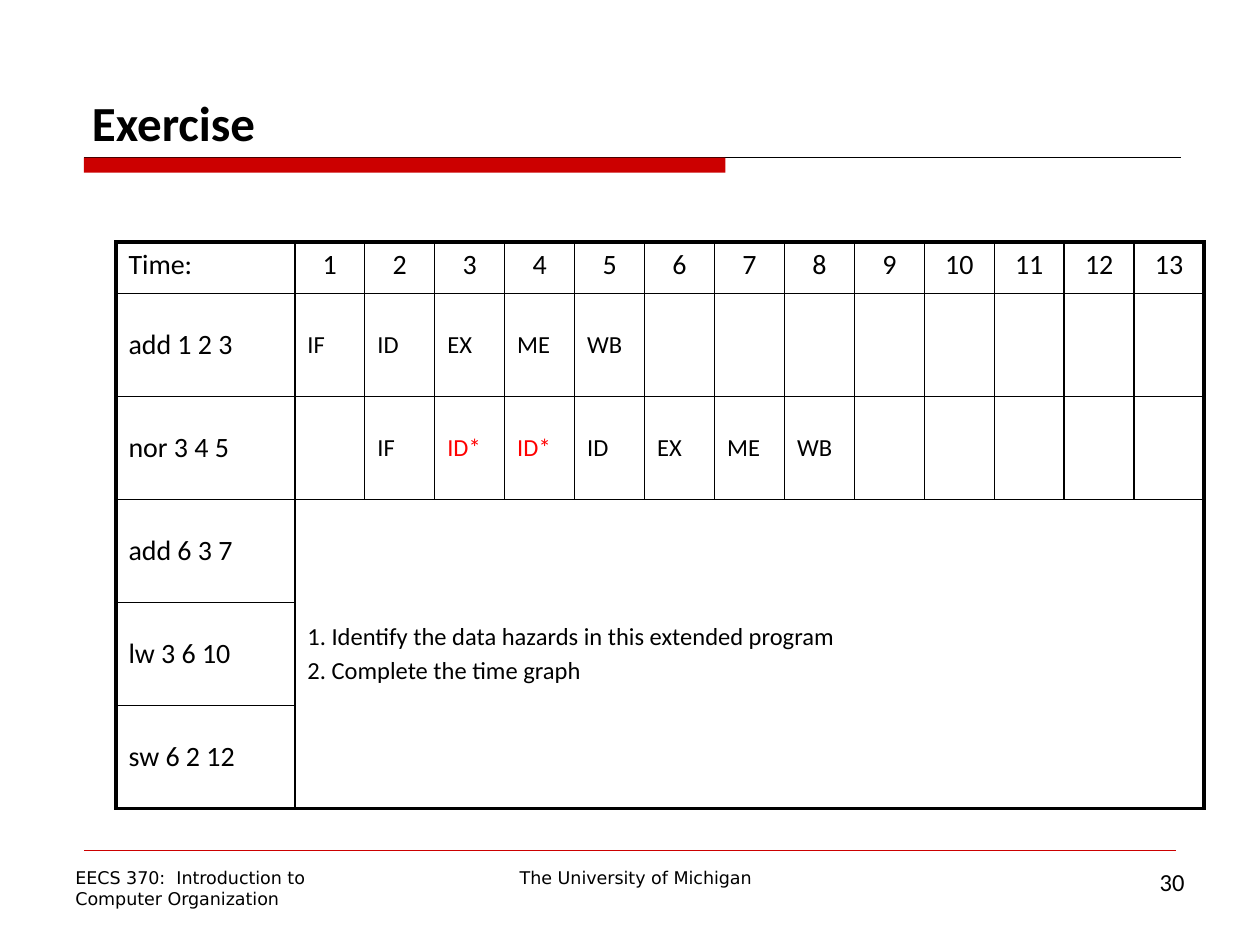
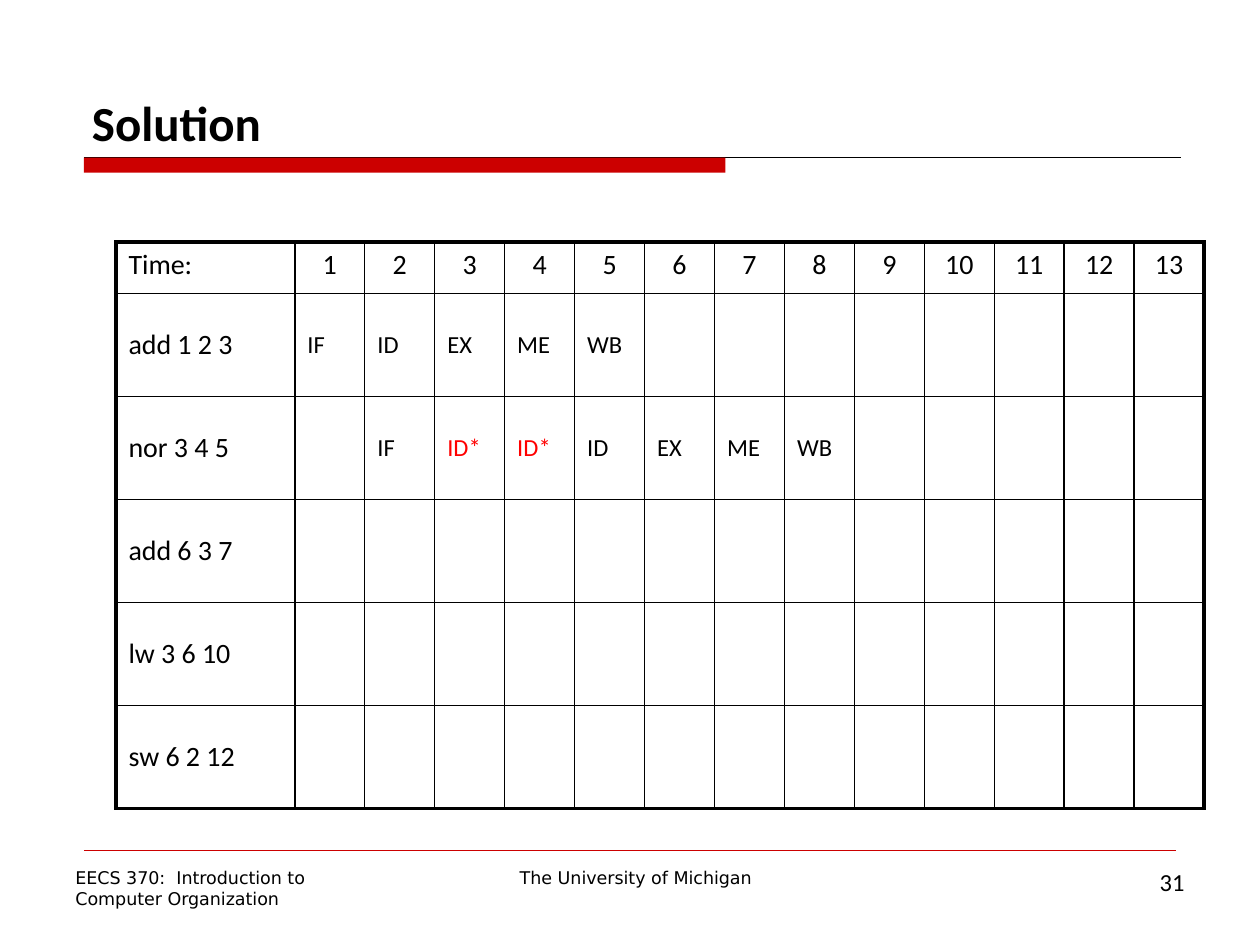
from pptx import Presentation
from pptx.dml.color import RGBColor
from pptx.enum.shapes import MSO_CONNECTOR, MSO_SHAPE
from pptx.enum.text import MSO_ANCHOR, MSO_AUTO_SIZE, PP_ALIGN
from pptx.oxml.ns import qn
from pptx.util import Inches, Pt
from lxml.etree import SubElement

# Content
HEADER = ["Time:"] + [str(n) for n in range(1, 14)]
INSTRUCTIONS = ["add 1 2 3", "nor 3 4 5", "add 6 3 7", "lw 3 6 10", "sw 6 2 12"]
# Pipeline stages by instruction: (first cycle, stages)
STAGES = {
    "add 1 2 3": (1, ["IF", "ID", "EX", "ME", "WB"]),
    "nor 3 4 5": (2, ["IF", "ID*", "ID*", "ID", "EX", "ME", "WB"]),
}
TASKS = ["1. Identify the data hazards in this extended program",
         "2. Complete the time graph"]
SLIDES = [
    {"title": "Exercise", "number": "30", "tasks": TASKS},
    {"title": "Solution", "number": "31", "tasks": []},
]
COURSE = ["EECS 370:  Introduction to", "Computer Organization"]
SCHOOL = ["The University of Michigan"]

# Style
BLACK = RGBColor(0x00, 0x00, 0x00)
RED = RGBColor(0xCC, 0x00, 0x00)
STALL = RGBColor(0xFF, 0x00, 0x00)
BODY_FONT, FOOT_FONT = "Calibri", "DejaVu Sans"
THIN, THICK = 1, 2.25

# Geometry, in inches
WIDTH, HEIGHT = 10, 7.5
MARGIN = WIDTH / 15
RULE_Y, FOOT_RULE_Y, FOOT_Y = HEIGHT / 6, HEIGHT * 0.9, 6.83
TABLE_X, TABLE_Y, TABLE_W, TABLE_H = 0.92, 1.92, 8.64, 4.5
LABEL_W, HEADER_H = 1.42, 0.41


def format_text(tf, lines, size, font=BODY_FONT, color=BLACK, align=PP_ALIGN.LEFT,
                bold=False, gap=0):
    tf.text = "\n".join(lines)
    for i, p in enumerate(tf.paragraphs):
        p.alignment = align
        p.space_before = Pt(gap if i else 0)
        for r in p.runs:
            r.font.size, r.font.name, r.font.bold = Pt(size), font, bold
            r.font.color.rgb = color


def add_rule(slide, x1, x2, y, color, weight):
    line = slide.shapes.add_connector(
        MSO_CONNECTOR.STRAIGHT, Inches(x1), Inches(y), Inches(x2), Inches(y))
    line.line.color.rgb = color
    line.line.width = Pt(weight)
    SubElement(line._element.spPr, qn("a:effectLst"))


def add_footer(slide, x, w, h, lines, size=10, font=FOOT_FONT, align=PP_ALIGN.LEFT):
    box = slide.shapes.add_textbox(Inches(x), Inches(FOOT_Y), Inches(w), Inches(h))
    box.text_frame.word_wrap = True
    format_text(box.text_frame, lines, size, font, align=align)


def add_frame(slide, title, number):
    """Title, title band, footer rule and footers."""
    sp = slide.shapes.title
    sp.left, sp.top = Inches(0.63), Inches(0.33)
    sp.width, sp.height = Inches(8.75), Inches(0.92)
    tf = sp.text_frame
    tf.vertical_anchor = MSO_ANCHOR.BOTTOM
    tf.auto_size = MSO_AUTO_SIZE.NONE
    format_text(tf, [title], 28, bold=True)

    add_rule(slide, MARGIN, 9.37, RULE_Y, BLACK, 0.75)
    band = slide.shapes.add_shape(MSO_SHAPE.RECTANGLE, Inches(MARGIN), Inches(RULE_Y),
                                  Inches(5.09), Inches(0.12))
    band.shadow.inherit = False
    band.fill.solid()
    band.fill.fore_color.rgb = RED
    band.line.fill.background()

    add_rule(slide, MARGIN, WIDTH - MARGIN, FOOT_RULE_Y, RED, 0.25)
    add_footer(slide, 3.17, 3.75, 0.27, SCHOOL, align=PP_ALIGN.CENTER)
    add_footer(slide, 0.5, 2.75, 0.43, COURSE)
    add_footer(slide, 7.17, 2.33, 0.52, [number], 14, BODY_FONT, PP_ALIGN.RIGHT)


def set_borders(cell, outer):
    """Draw each side, thick where it lies on the table's outer edge."""
    tc_pr = cell._tc.get_or_add_tcPr()
    for side in "LRTB":
        weight = THICK if side in outer else THIN
        ln = SubElement(tc_pr, qn(f"a:ln{side}"), w=str(Pt(weight)))
        fill = SubElement(ln, qn("a:solidFill"))
        SubElement(fill, qn("a:srgbClr"), val=str(BLACK))


def add_time_graph(slide, tasks):
    rows, cols = len(INSTRUCTIONS) + 1, len(HEADER)
    table = slide.shapes.add_table(rows, cols, Inches(TABLE_X), Inches(TABLE_Y),
                                   Inches(TABLE_W), Inches(TABLE_H)).table
    table.first_row = table.horz_banding = False
    for c, col in enumerate(table.columns):
        col.width = Inches((TABLE_W - LABEL_W) / (cols - 1) if c else LABEL_W)
    for r, row in enumerate(table.rows):
        row.height = Inches((TABLE_H - HEADER_H) / (rows - 1) if r else HEADER_H)

    # The tasks cover the rows that have no stages yet
    task_row = len(STAGES) + 1
    if tasks:
        table.cell(task_row, 1).merge(table.cell(rows - 1, cols - 1))

    for r in range(rows):
        for c in range(cols):
            cell = table.cell(r, c)
            edges = {"L": c == 0, "T": r == 0,
                     "R": c + cell.span_width == cols,
                     "B": r + cell.span_height == rows}
            set_borders(cell, [side for side, outer in edges.items() if outer])
            cell.fill.background()
            cell.vertical_anchor = MSO_ANCHOR.MIDDLE if r else MSO_ANCHOR.TOP

    # Header, labels and stages
    for c, text in enumerate(HEADER):
        format_text(table.cell(0, c).text_frame, [text], 16,
                    align=PP_ALIGN.CENTER if c else PP_ALIGN.LEFT)
    for r, name in enumerate(INSTRUCTIONS, 1):
        format_text(table.cell(r, 0).text_frame, [name], 16)
        start, stages = STAGES.get(name, (1, []))
        for c, stage in enumerate(stages, start):
            format_text(table.cell(r, c).text_frame, [stage], 14,
                        color=STALL if stage.endswith("*") else BLACK)
    if tasks:
        format_text(table.cell(task_row, 1).text_frame, tasks, 14, gap=2.8)


def main():
    prs = Presentation()
    prs.slide_width, prs.slide_height = Inches(WIDTH), Inches(HEIGHT)
    for content in SLIDES:
        slide = prs.slides.add_slide(prs.slide_layouts.get_by_name("Title Only"))
        add_frame(slide, content["title"], content["number"])
        add_time_graph(slide, content["tasks"])
    prs.save("out.pptx")


if __name__ == "__main__":
    main()
